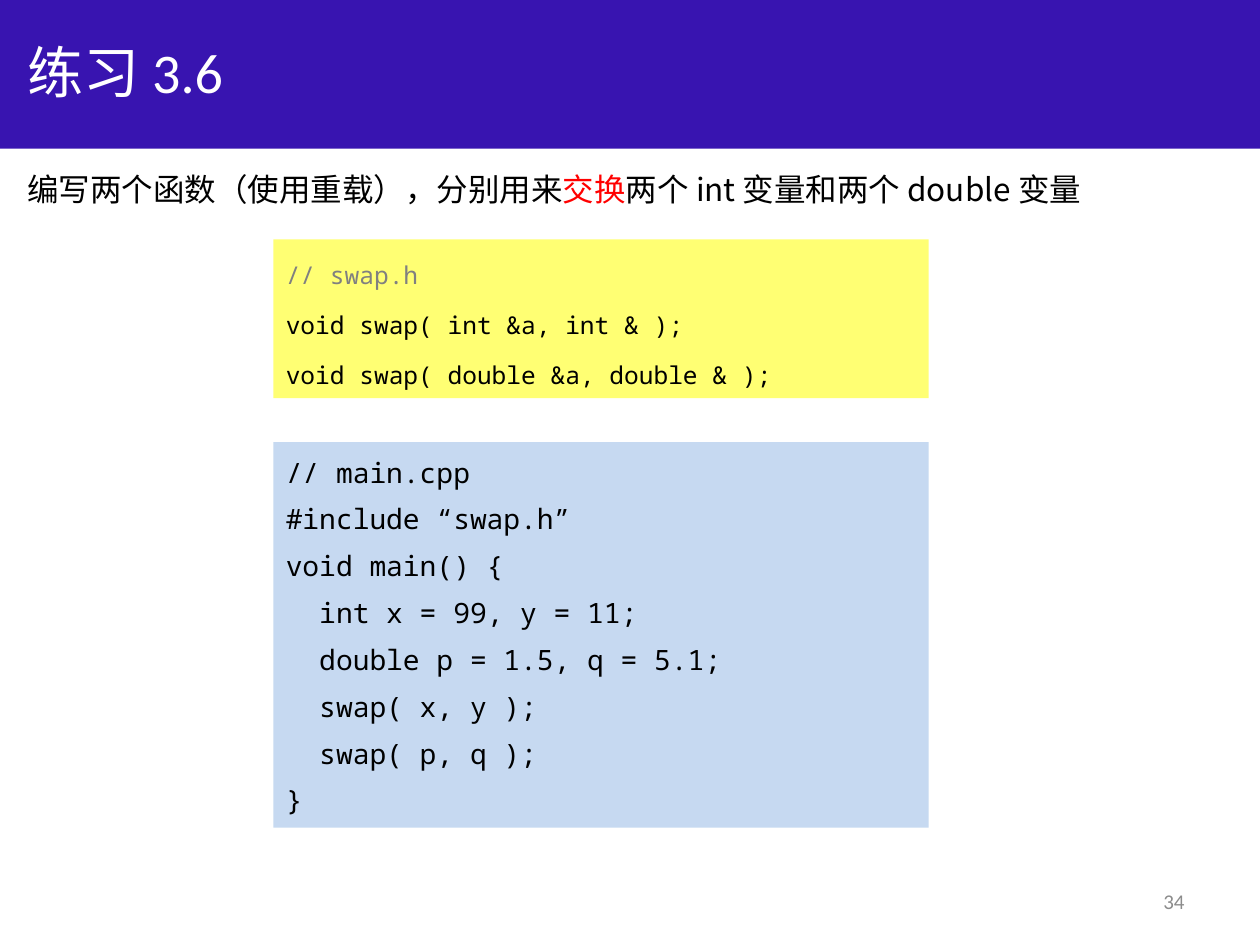
from pptx import Presentation
from pptx.dml.color import RGBColor
from pptx.enum.shapes import MSO_SHAPE
from pptx.enum.text import MSO_ANCHOR, PP_ALIGN
from pptx.oxml.ns import qn
from pptx.util import Inches, Pt
from lxml import etree

CJK_FONT = "Noto Sans CJK SC"
CODE_FONT = "Noto Sans Mono"
BLACK, RED, GRAY = "000000", "FF0000", "808080"

# Each paragraph is a list of (text, colour) runs.
TITLE = [[("练习 3.6", "FFFFFF")]]
TASK = [[
    ("编写两个函数（使用重载），分别用来", BLACK),
    ("交换", RED),
    ("两个 int 变量和两个 double 变量", BLACK),
]]
PAGE_NUMBER = [[("34", "8C8C8C")]]
HEADER_CODE = [
    [("// swap.h", GRAY)],
    [("void swap( int &a, int & );", BLACK)],
    [("void swap( double &a, double & );", BLACK)],
]
MAIN_CODE = [[(line, BLACK)] for line in (
    "// main.cpp",
    "#include “swap.h”",
    "void main() {",
    "  int x = 99, y = 11;",
    "  double p = 1.5, q = 5.1;",
    "  swap( x, y );",
    "  swap( p, q );",
    "}",
)]

CODE_LEFT, CODE_WIDTH = 2.17, 5.2
CODE_BLOCKS = [
    # paragraphs, top, height, fill, size, line spacing, space before
    (HEADER_CODE, 1.9, 1.26, "FFFF73", 14, 1.5, 3.3),
    (MAIN_CODE, 3.51, 3.06, "C6D9F1", 16, 1.2, 3.75),
]


def color(value):
    return RGBColor.from_string(value)


def add_panel(slide, left, top, width, height, fill):
    shape = slide.shapes.add_shape(
        MSO_SHAPE.RECTANGLE, Inches(left), Inches(top), Inches(width), Inches(height))
    shape.shadow.inherit = False
    shape.fill.solid()
    shape.fill.fore_color.rgb = color(fill)
    shape.line.fill.background()
    return shape


def add_text_box(slide, left, top, width, height):
    return slide.shapes.add_textbox(
        Inches(left), Inches(top), Inches(width), Inches(height))


def write(shape, paragraphs, *, size, font, anchor=MSO_ANCHOR.TOP,
          align=PP_ALIGN.LEFT, line_spacing=None, space_before=0):
    frame = shape.text_frame
    frame.word_wrap = True
    frame.vertical_anchor = anchor
    for index, runs in enumerate(paragraphs):
        paragraph = frame.add_paragraph() if index else frame.paragraphs[0]
        paragraph.alignment = align
        if line_spacing:
            paragraph.line_spacing = line_spacing
        if index:
            paragraph.space_before = Pt(space_before)
        for text, text_color in runs:
            run = paragraph.add_run()
            run.text = text
            run.font.size = Pt(size)
            run.font.name = font
            run.font.color.rgb = color(text_color)
            east_asian = etree.SubElement(run.font._element, qn("a:ea"))
            east_asian.set("typeface", CJK_FONT)


def main():
    presentation = Presentation()
    presentation.slide_width = Inches(10)
    presentation.slide_height = Inches(7.5)
    slide = presentation.slides.add_slide(presentation.slide_layouts[6])

    add_panel(slide, 0, 0, 10, 1.18, "3814B0")
    write(add_text_box(slide, 0.12, 0.06, 9, 1.01), TITLE,
          size=32, font="Calibri", anchor=MSO_ANCHOR.MIDDLE)
    write(add_text_box(slide, 0.12, 1.3, 8.74, 0.4), TASK, size=18, font=CJK_FONT)

    for paragraphs, top, height, fill, size, line_spacing, space_before in CODE_BLOCKS:
        panel = add_panel(slide, CODE_LEFT, top, CODE_WIDTH, height, fill)
        write(panel, paragraphs, size=size, font=CODE_FONT,
              line_spacing=line_spacing, space_before=space_before)

    write(add_text_box(slide, 7.17, 6.95, 2.33, 0.4), PAGE_NUMBER,
          size=12, font="Calibri", anchor=MSO_ANCHOR.MIDDLE, align=PP_ALIGN.RIGHT)

    presentation.save("out.pptx")


if __name__ == "__main__":
    main()
